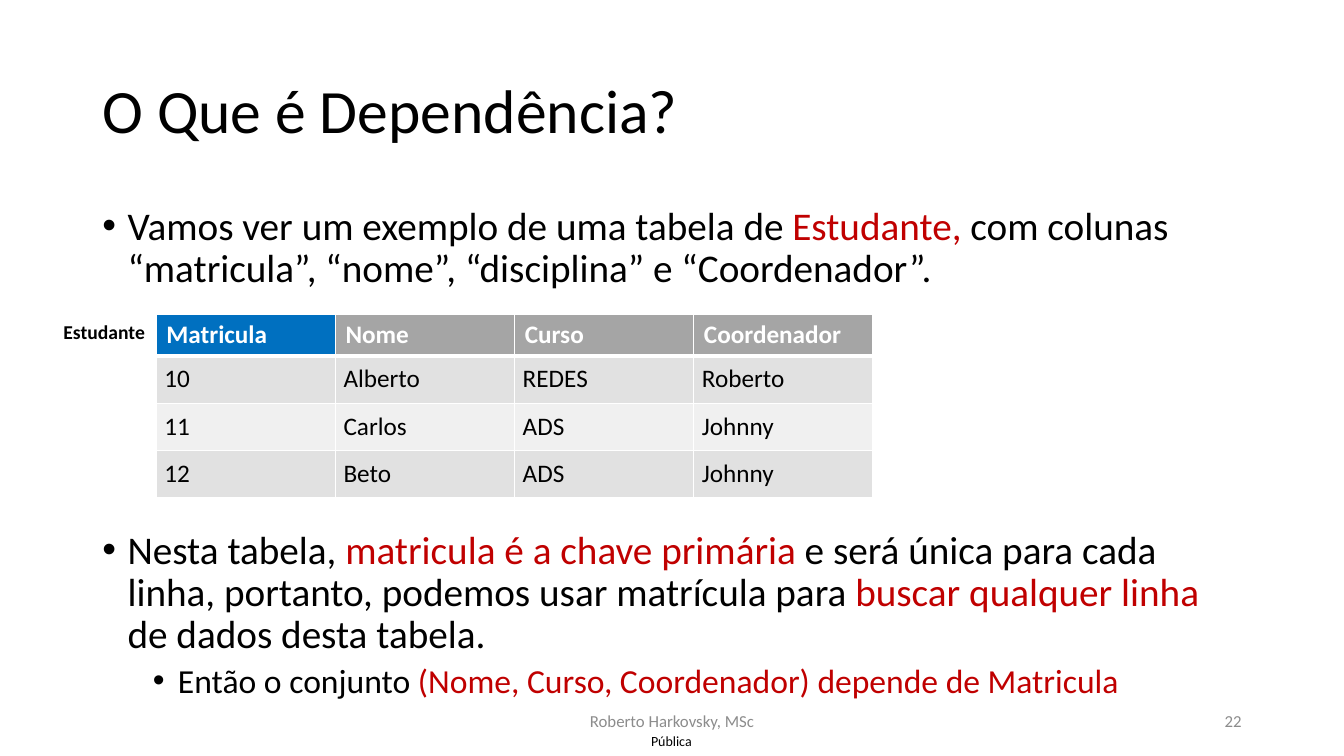
from lxml import etree
from pptx import Presentation
from pptx import util as u
from pptx.dml.color import RGBColor
from pptx.enum import text
from pptx.oxml.ns import qn

BLACK, WHITE, RED, GRAY = "000000", "FFFFFF", "C00000", "8C8C8C"
LEFT, CENTER, RIGHT = text.PP_ALIGN.LEFT, text.PP_ALIGN.CENTER, text.PP_ALIGN.RIGHT
TOP, MIDDLE = text.MSO_ANCHOR.TOP, text.MSO_ANCHOR.MIDDLE


def color(value):
    return RGBColor.from_string(value)


class SlideBuilder:
    font_name = "Calibri"

    def __init__(self, deck):
        self.deck = deck
        self.page = deck.slides.add_slide(deck.slide_layouts[6])

    def area(self, left, top, width, height):
        across, down = self.deck.slide_width, self.deck.slide_height
        shares = (left * across, top * down, width * across, height * down)
        return [round(share / 100) for share in shares]

    def style(self, para, size, ink=BLACK, bold=False):
        para.font.name = self.font_name
        para.font.size = u.Pt(size)
        para.font.bold = bold
        para.font.color.rgb = color(ink)

    def text_box(self, area, anchor=TOP, wrap=True, inset=None):
        frame = self.page.shapes.add_textbox(*self.area(*area)).text_frame
        frame.word_wrap = wrap
        frame.vertical_anchor = anchor
        if inset is not None:
            frame.margin_left = frame.margin_right = u.Inches(inset)
            frame.margin_top = frame.margin_bottom = u.Inches(inset)
        return frame

    def label(self, area, words, size, ink=BLACK, bold=False, align=LEFT,
              spacing=None, **layout):
        para = self.text_box(area, **layout).paragraphs[0]
        para.text = words
        para.alignment = align
        para.line_spacing = spacing
        self.style(para, size, ink, bold)

    def bullets(self, area, items):
        frame = self.text_box(area)
        for index, (level, spans) in enumerate(items):
            para = frame.add_paragraph() if index else frame.paragraphs[0]
            para.level = level
            para.line_spacing = 0.9
            if index:
                para.space_before = u.Pt(10 - 5 * level)
            props = para._p.get_or_add_pPr()
            props.set("marL", str(u.Inches(0.25 + 0.5 * level)))
            props.set("indent", str(-u.Inches(0.25)))
            etree.SubElement(props, qn("a:buFont")).set("typeface", "Arial")
            etree.SubElement(props, qn("a:buChar")).set("char", "•")
            self.style(para, 28 - 4 * level)
            for words, ink in spans:
                span = para.add_run()
                span.text = words
                span.font.color.rgb = color(ink)

    def borders(self, cell, bottom):
        props = cell._tc.get_or_add_tcPr()
        for index, (side, width) in enumerate(
                (("L", 1), ("R", 1), ("T", 1), ("B", bottom))):
            line = etree.Element(qn(f"a:ln{side}"), w=str(u.Pt(width)))
            fill = etree.SubElement(line, qn("a:solidFill"))
            etree.SubElement(fill, qn("a:srgbClr")).set("val", WHITE)
            props.insert(index, line)

    def table(self, area, rows, heights):
        shape = self.page.shapes.add_table(len(rows), len(rows[0]), *self.area(*area))
        grid = shape.table
        grid.first_row = grid.horz_banding = False
        for row, values in enumerate(rows):
            header = row == 0
            grid.rows[row].height = u.Inches(heights[row])
            for column, value in enumerate(values):
                cell = grid.cell(row, column)
                cell.text = value
                if header:
                    fill = "A5A5A5" if column else "0070C0"
                else:
                    fill = "E1E1E1" if row % 2 else "F0F0F0"
                    cell.margin_left = cell.margin_right = u.Inches(0.08)
                    cell.margin_top = cell.margin_bottom = u.Inches(0.08)
                cell.fill.solid()
                cell.fill.fore_color.rgb = color(fill)
                self.borders(cell, 3 if header else 1)
                self.style(cell.text_frame.paragraphs[0], 18,
                           WHITE if header else BLACK, header)


def main():
    deck = Presentation()
    deck.slide_width, deck.slide_height = u.Inches(13.33), u.Inches(7.5)
    slide = SlideBuilder(deck)

    slide.label((47.33, 96.13, 5.25, 3.87), "Pública", 10,
                align=CENTER, anchor=MIDDLE, inset=0)
    slide.label((6.88, 5.33, 86.25, 19.33), "O Que é Dependência?", 44,
                spacing=0.9, anchor=MIDDLE)
    slide.bullets((6.88, 26.67, 86.25, 13.33), [
        (0, [("Vamos ver um exemplo de uma tabela de ", BLACK),
             ("Estudante,", RED),
             (" com colunas “matricula”, “nome”, “disciplina” e “Coordenador”.", BLACK)]),
    ])
    slide.bullets((6.88, 69.47, 86.25, 26.8), [
        (0, [("Nesta tabela, ", BLACK),
             ("matricula é a chave primária ", RED),
             ("e será única para cada linha, portanto, podemos usar matrícula para ", BLACK),
             ("buscar qualquer linha ", RED),
             ("de dados desta tabela.", BLACK)]),
        (1, [("Então o conjunto ", BLACK),
             ("(Nome, Curso, Coordenador) depende de Matricula", RED)]),
    ])
    slide.label((33.13, 92.67, 33.75, 5.33), "Roberto Harkovsky, MSc", 12, GRAY,
                align=CENTER, anchor=MIDDLE)
    slide.label((70.63, 92.67, 22.5, 5.33), "22", 12, GRAY,
                align=RIGHT, anchor=MIDDLE)
    slide.table((11.63, 41.6, 53.34, 24.27), [
        ("Matricula", "Nome", "Curso", "Coordenador"),
        ("10", "Alberto", "REDES", "Roberto"),
        ("11", "Carlos", "ADS", "Johnny"),
        ("12", "Beto", "ADS", "Johnny"),
    ], [0.41, 0.47, 0.47, 0.47])
    slide.label((3.98, 41.6, 7.65, 4.53), "Estudante", 14, bold=True, wrap=False)

    deck.save("out.pptx")


if __name__ == "__main__":
    main()
